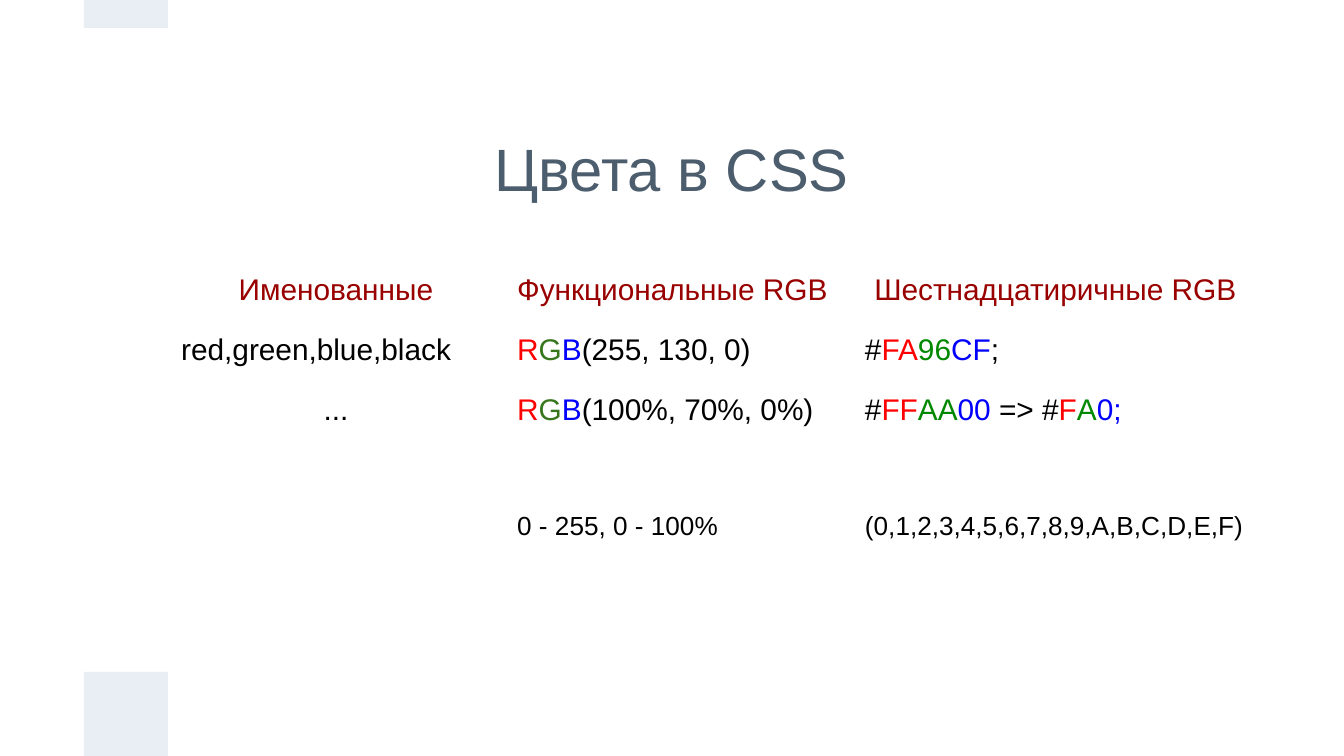
"""Build a slide on the three ways to write colours in CSS."""
from pptx import Presentation
from pptx.dml.color import RGBColor
from pptx.enum.shapes import MSO_SHAPE
from pptx.enum.text import MSO_ANCHOR, PP_ALIGN
from pptx.util import Inches, Pt

LEFT, CENTER = PP_ALIGN.LEFT, PP_ALIGN.CENTER
TOP, MIDDLE = MSO_ANCHOR.TOP, MSO_ANCHOR.MIDDLE
RECTANGLE = MSO_SHAPE.RECTANGLE

COLORS = {
    "title": "4C5D6E", "heading": "990000", "text": "000000", "accent": "E9EDF4",
    "red": "FF0000", "moss": "38761D", "green": "008800", "blue": "0000FF",
}
FONT = "Arial"
UNIT = 0.625
GRID_COLUMNS, GRID_ROWS = 16, 9
MARGIN = 0.1
LINE_SPACING, SPACE_AFTER = 1.15, 10
NOTE = {"size": 14, "before": 32}

TITLE = "Цвета в CSS"
RGB = [("R", "red"), ("G", "moss"), ("B", "blue")]
COLUMNS = [
    (4, "Именованные", CENTER, [
        ([("red,green,blue,black", "text")], {}),
        ([("...", "text")], {"align": CENTER}),
    ]),
    (4.14, "Функциональные RGB", LEFT, [
        (RGB + [("(255, 130, 0)", "text")], {}),
        (RGB + [("(100%, 70%, 0%)", "text")], {}),
        ([("0 - 255, 0 - 100%", "text")], NOTE),
    ]),
    (4.85, "Шестнадцатиричные RGB", CENTER, [
        ([("#", "text"), ("FA", "red"), ("96", "green"), ("CF", "blue"), (";", "text")], {}),
        ([("#", "text"), ("FF", "red"), ("AA", "green"), ("00", "blue"),
          (" => #", "text"), ("F", "red"), ("A", "green"), ("0;", "blue")], {}),
        ([("(0,1,2,3,4,5,6,7,8,9,A,B,C,D,E,F)", "text")], NOTE),
    ]),
]
ACCENTS = [(1, 8, 1, 1), (1, 0, 1, 1 / 3)]


def grid(*cells):
    return [Inches(cell * UNIT) for cell in cells]


def add_box(page, cells, anchor=TOP):
    frame = page.shapes.add_textbox(*grid(*cells)).text_frame
    frame.word_wrap = True
    frame.vertical_anchor = anchor
    frame.margin_left = frame.margin_right = Inches(MARGIN)
    frame.margin_top = frame.margin_bottom = Inches(MARGIN)
    return frame


def write(para, spans, size=16, align=LEFT, before=0, after=SPACE_AFTER, spacing=LINE_SPACING):
    para.alignment = align
    para.line_spacing = spacing
    para.space_before, para.space_after = Pt(before), Pt(after)
    for text, color in spans:
        span = para.add_run()
        span.text = text
        span.font.name = FONT
        span.font.size = Pt(size)
        span.font.color.rgb = RGBColor.from_string(COLORS[color])


def main():
    deck = Presentation()
    deck.slide_width, deck.slide_height = grid(GRID_COLUMNS, GRID_ROWS)
    page = deck.slides.add_slide(deck.slide_layouts[6])

    for cells in ACCENTS:
        accent = page.shapes.add_shape(RECTANGLE, *grid(*cells))
        accent.shadow.inherit = False
        accent.fill.solid()
        accent.fill.fore_color.rgb = RGBColor.from_string(COLORS["accent"])
        accent.line.fill.background()

    title = add_box(page, (2, 1, 12, 2), MIDDLE)
    write(title.paragraphs[0], [(TITLE, "title")], size=32, align=CENTER, after=0, spacing=1.0)

    left = 2
    for width, heading, align, lines in COLUMNS:
        box = add_box(page, (left, 3, width, 5))
        write(box.paragraphs[0], [(heading, "heading")], align=align)
        for spans, style in lines:
            write(box.add_paragraph(), spans, **style)
        left += width

    deck.save("out.pptx")


if __name__ == "__main__":
    main()
